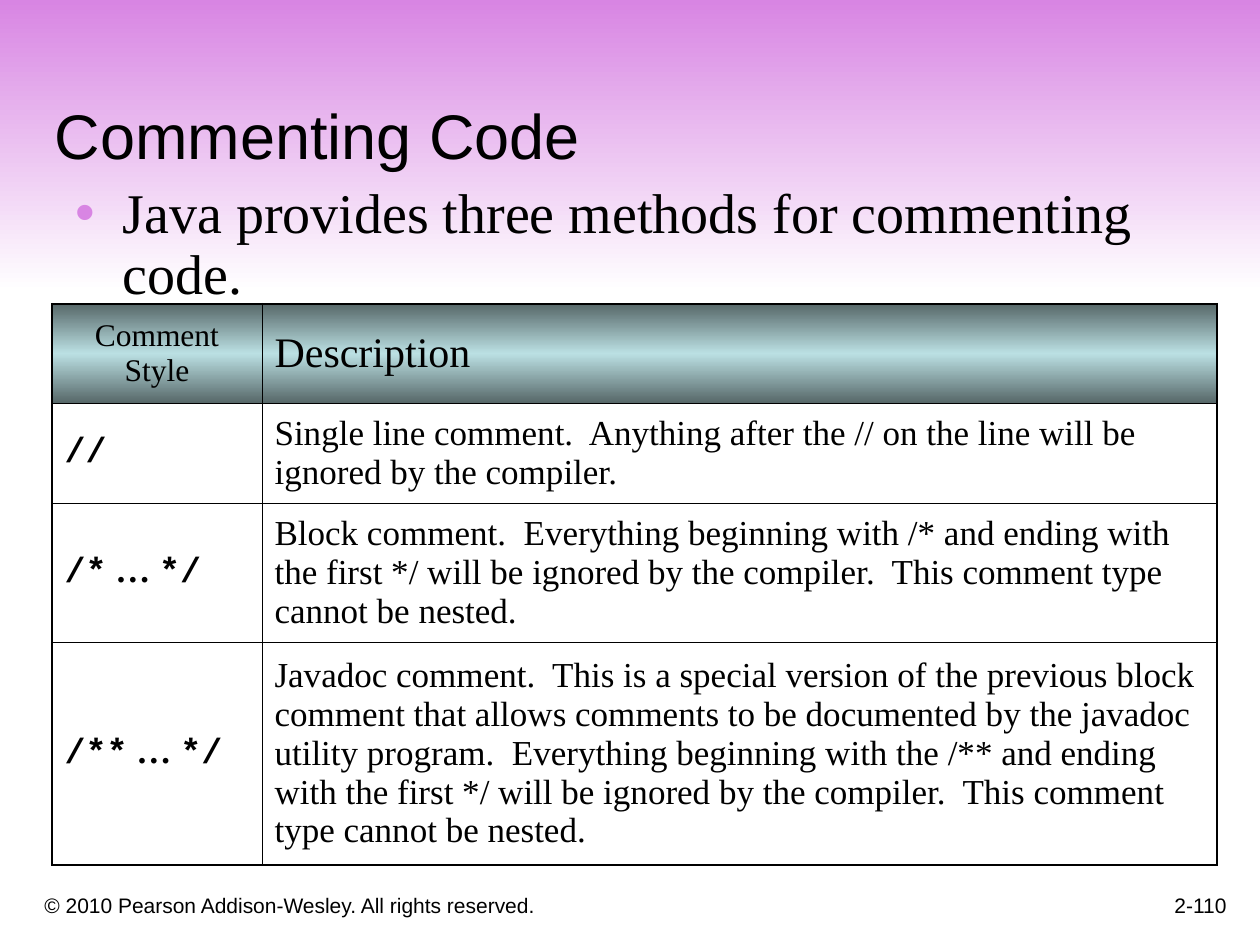
from dataclasses import dataclass
from lxml import etree
from pptx import Presentation
from pptx.dml.color import RGBColor
from pptx.enum.shapes import MSO_SHAPE
from pptx.enum.text import MSO_ANCHOR, MSO_AUTO_SIZE, PP_ALIGN
from pptx.oxml.ns import qn
from pptx.util import Emu, Pt

SCALE = 914400 / 126
BLACK = RGBColor(0x00, 0x00, 0x00)
WHITE = RGBColor(0xFF, 0xFF, 0xFF)
PINK = RGBColor(0xD8, 0x85, 0xE3)
SLATE = RGBColor(0x57, 0x68, 0x69)
AQUA = RGBColor(0xBB, 0xE0, 0xE3)
LEFT, CENTER, RIGHT = PP_ALIGN.LEFT, PP_ALIGN.CENTER, PP_ALIGN.RIGHT
TOP, MIDDLE, BOTTOM = MSO_ANCHOR.TOP, MSO_ANCHOR.MIDDLE, MSO_ANCHOR.BOTTOM
SANS, SERIF, MONO = "Arial", "Times New Roman", "Courier New"
THIN, EDGE, HEAD = 0.45, 1.08, 1.47


@dataclass(frozen=True)
class Part:
    text: str
    size: int
    face: str = SERIF
    bold: bool = False


@dataclass(frozen=True)
class Box:
    left: int
    top: int
    width: int
    height: int

    def emu(self) -> list[Emu]:
        return [px(n) for n in (self.left, self.top, self.width, self.height)]


@dataclass(frozen=True)
class Note:
    box: Box
    text: str
    align: PP_ALIGN


def code(text: str) -> Part:
    return Part(text, 20, MONO, True)


DOTS = Part(" … ", 20, bold=True)
ROWS = [
    ([Part("Comment\nStyle", 18)], [Part("Description", 24)]),
    ([code("//")],
     [Part("Single line comment.  Anything after the // on the line will be "
           "ignored by the compiler.", 20)]),
    ([code("/*"), DOTS, code("*/")],
     [Part("Block comment.  Everything beginning with /* and ending with the "
           "first */ will be ignored by the compiler.  This comment type "
           "cannot be nested.", 20)]),
    ([code("/**"), DOTS, code("*/")],
     [Part("Javadoc comment.  This is a special version of the previous block "
           "comment that allows comments to be documented by the javadoc "
           "utility program.  Everything beginning with the /** and ending "
           "with the first */ will be ignored by the compiler.  This comment "
           "type cannot be nested.", 20)]),
]
WIDTHS = [210, 955]
HEIGHTS = [99, 100, 139, 223]
NOTES = [
    Note(Box(32, 871, 766, 53),
         "© 2010 Pearson Addison-Wesley. All rights reserved.", LEFT),
    Note(Box(977, 861, 262, 63), "2-110", RIGHT),
]


def px(count: int) -> Emu:
    return Emu(round(count * SCALE))


def put(frame, parts: list[Part], align: PP_ALIGN = LEFT) -> None:
    para = frame.paragraphs[0]
    para.alignment = align
    for part in parts:
        for pos, line in enumerate(part.text.split("\n")):
            if pos:
                para.add_line_break()
            run = para.add_run()
            run.text = line
            look = {"size": Pt(part.size), "name": part.face, "bold": part.bold}
            for key, val in look.items():
                setattr(run.font, key, val)
            run.font.color.rgb = BLACK


def shade(fill, props, colors: list[RGBColor]) -> None:
    """Fill from top to bottom with evenly spaced colours."""
    fill.gradient()
    fill.gradient_angle = 270
    stops = props.find(".//" + qn("a:gsLst"))
    for old in list(stops):
        stops.remove(old)
    for pos, color in enumerate(colors):
        share = 100000 * pos // (len(colors) - 1)
        stop = etree.SubElement(stops, qn("a:gs"), pos=str(share))
        etree.SubElement(stop, qn("a:srgbClr"), val=str(color))


def rule(props, sides: dict[str, float]) -> None:
    """Draw the cell borders, given in points."""
    for side, width in sides.items():
        line = etree.SubElement(props, qn("a:ln" + side), w=str(Pt(width)))
        fill = etree.SubElement(line, qn("a:solidFill"))
        etree.SubElement(fill, qn("a:srgbClr"), val=str(BLACK))


def place(shape, box: Box, anchor: MSO_ANCHOR) -> None:
    for key, val in zip(("left", "top", "width", "height"), box.emu()):
        setattr(shape, key, val)
    look = {"word_wrap": True, "auto_size": MSO_AUTO_SIZE.NONE,
            "vertical_anchor": anchor}
    for key, val in look.items():
        setattr(shape.text_frame, key, val)


def add_band(slide) -> None:
    box = Box(0, 0, 1260, 292)
    band = slide.shapes.add_shape(MSO_SHAPE.RECTANGLE, *box.emu())
    band.shadow.inherit = False
    band.line.fill.background()
    shade(band.fill, band.element.spPr, [PINK, WHITE])
    slide.shapes.title.element.addprevious(band.element)


def add_body(body) -> None:
    place(body, Box(63, 179, 1071, 136), TOP)
    body.text_frame.margin_right = 0
    para = body.text_frame.paragraphs[0]
    props = para._p.get_or_add_pPr()
    props.set("marL", str(px(47)))
    props.set("indent", str(px(-47)))
    tint = etree.SubElement(props, qn("a:buClr"))
    etree.SubElement(tint, qn("a:srgbClr"), val=str(PINK))
    etree.SubElement(props, qn("a:buChar"), char="•")
    para.line_spacing = 0.9
    para.space_before = Pt(0)
    put(body.text_frame,
        [Part("Java provides three methods for commenting code.", 32)])


def add_grid(slide) -> None:
    box = Box(52, 304, sum(WIDTHS), sum(HEIGHTS))
    grid = slide.shapes.add_table(len(ROWS), len(WIDTHS), *box.emu()).table
    grid.first_row = grid.horz_banding = False
    for col, width in zip(grid.columns, WIDTHS):
        col.width = px(width)
    for row, height in zip(grid.rows, HEIGHTS):
        row.height = px(height)
    for i, row in enumerate(ROWS):
        for j, parts in enumerate(row):
            cell = grid.cell(i, j)
            cell.vertical_anchor = MIDDLE
            props = cell._tc.get_or_add_tcPr()
            rule(props, {"L": THIN if j else EDGE, "R": EDGE if j else THIN,
                         "T": THIN if i else HEAD,
                         "B": EDGE if i == len(ROWS) - 1 else THIN})
            if i:
                cell.fill.background()
            else:
                shade(cell.fill, props, [SLATE, AQUA, SLATE])
            put(cell.text_frame, parts, LEFT if i or j else CENTER)


def main() -> None:
    deck = Presentation()
    deck.slide_width, deck.slide_height = px(1260), px(945)
    slide = deck.slides.add_slide(deck.slide_layouts[1])
    add_band(slide)
    title = slide.shapes.title
    place(title, Box(42, 41, 1187, 137), BOTTOM)
    put(title.text_frame, [Part("Commenting Code", 36, SANS)])
    add_body(slide.placeholders[1])
    add_grid(slide)
    for note in NOTES:
        shape = slide.shapes.add_textbox(*note.box.emu())
        place(shape, note.box, BOTTOM)
        put(shape.text_frame, [Part(note.text, 12, SANS)], note.align)
    deck.save("out.pptx")


if __name__ == "__main__":
    main()
